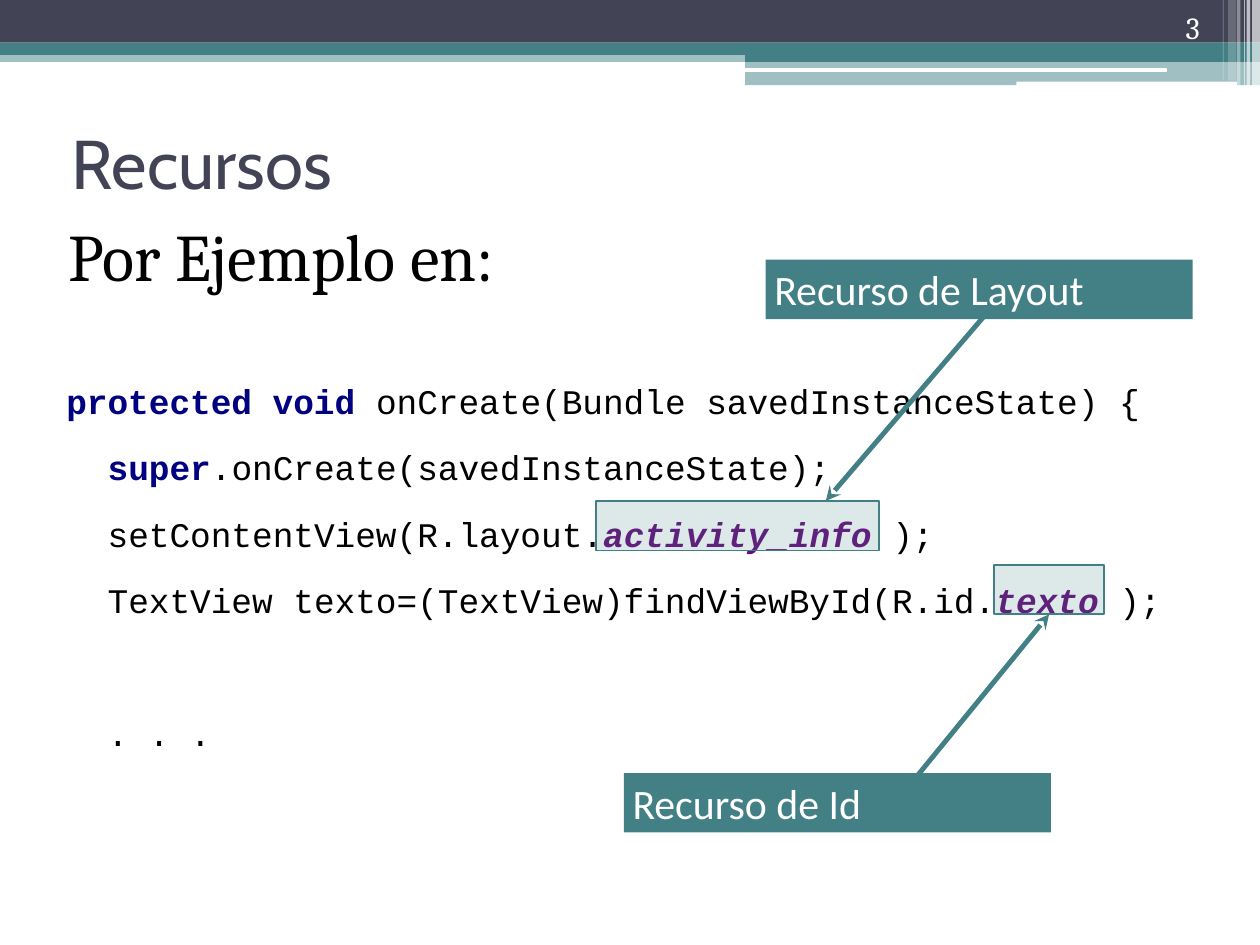
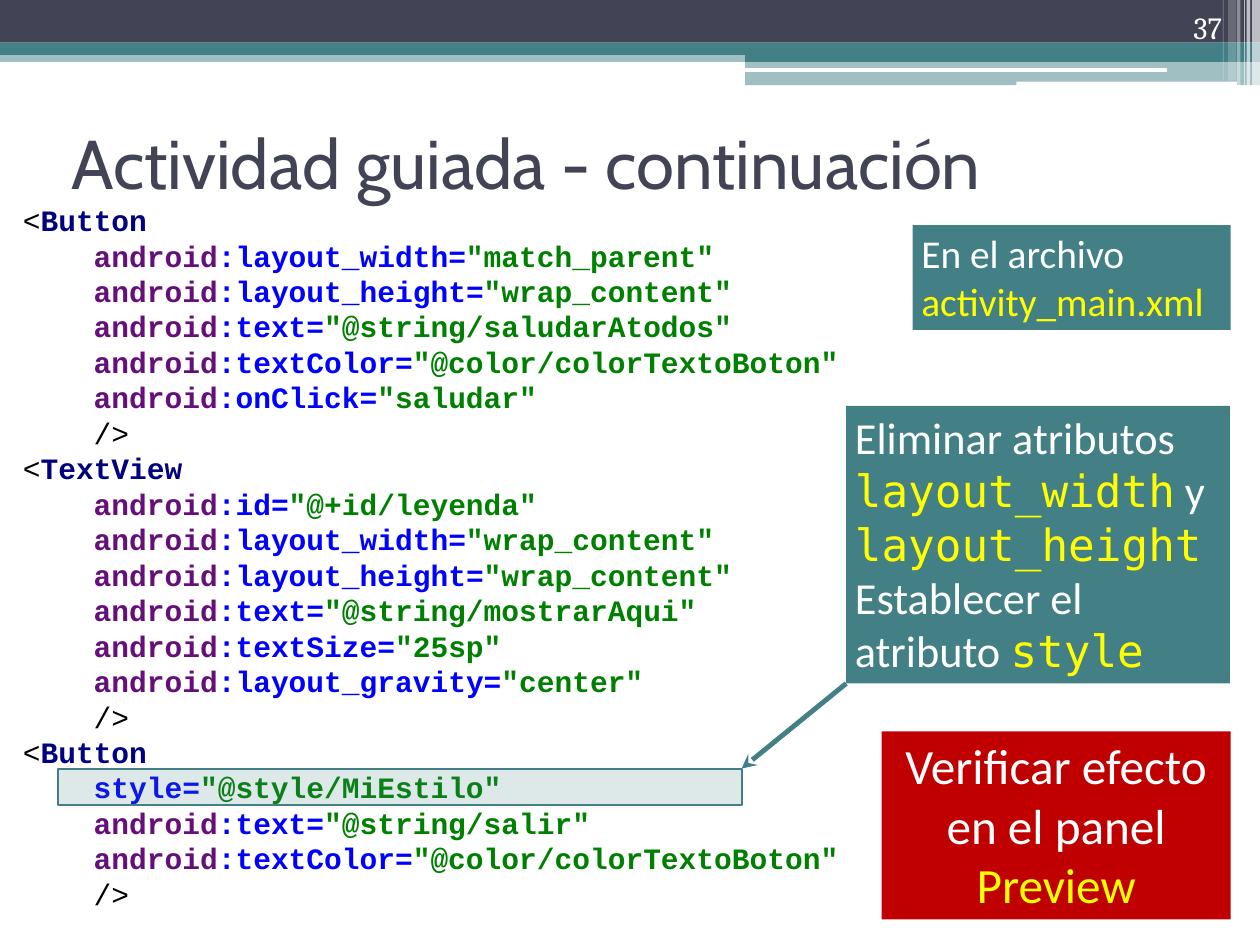
from dataclasses import dataclass

from lxml.etree import SubElement
from pptx import Presentation
from pptx.dml.color import RGBColor
from pptx.enum.shapes import MSO_CONNECTOR as Connector, MSO_SHAPE as Preset
from pptx.enum.text import MSO_ANCHOR as Anchor, PP_ALIGN as Align
from pptx.oxml.ns import qn
from pptx.util import Inches, Pt

# The grid has one column and one row to the inch.
COLUMNS, ROWS = 14.22, 10.66

INK, TEAL, WHITE, BLACK = "424456", "438086", "FFFFFF", "000000"
YELLOW, RED = "FFFF00", "C00000"
TITLE_FONT, BODY_FONT, CALLOUT_FONT = "Cabin", "Cambria", "Calibri"
CODE_FONT, NAME_FONT = "Courier New", "DejaVu Sans Mono"
CHAR_WIDTH = 0.6  # width of a code character, as a share of its size

# colour, bold, italic
CODE_STYLES = {
    "plain": (BLACK, False, False),
    "keyword": ("000080", True, False),
    "prefix": ("660E7A", True, False),
    "resource": ("660E7A", True, True),
    "attribute": ("0000FF", True, False),
    "value": ("008000", True, False),
}

# left, top, width, height, colour, opacity in percent
HEADER_BANDS = [
    (0, 0.57, COLUMNS, 0.13, TEAL, 50),
    (0, 0, COLUMNS, 0.48, INK, 100),
    (0, 0.48, COLUMNS, 0.14, TEAL, 100),
    (8.41, 0.56, 5.81, 0.14, TEAL, 100),
    (8.41, 0.68, 5.81, 0.28, TEAL, 50),
]
HEADER_RULES = [(8.41, 0.77, 4.76, 0.04), (11.47, 0.92, 2.49, 0.06)]
# left, width, height, opacity in percent
CORNER_STRIPES = [
    (14.13, 0.09, 0.97, 65),
    (14.07, 0.04, 0.97, 65),
    (14.04, 0.01, 0.97, 60),
    (13.96, 0.04, 0.97, 40),
    (13.86, 0.09, 0.91, 20),
    (13.8, 0.01, 0.91, 30),
]

METHOD_LINES = [
    (0, [("protected void ", "keyword"),
         ("onCreate(Bundle savedInstanceState) {", "plain")]),
    (2, [("super", "keyword"), (".onCreate(savedInstanceState);", "plain")]),
    (2, [("setContentView(R.layout.", "plain"),
         ("activity_info ", "resource"), (");", "plain")]),
    (2, [("TextView texto=(TextView)findViewById(R.id.", "plain"),
         ("texto ", "resource"), (");", "plain")]),
    (2, [(". . .", "plain")]),
]

LAYOUT_TAGS = [
    ("Button", [
        ("android:layout_width", "match_parent"),
        ("android:layout_height", "wrap_content"),
        ("android:text", "@string/saludarAtodos"),
        ("android:textColor", "@color/colorTextoBoton"),
        ("android:onClick", "saludar"),
    ]),
    ("TextView", [
        ("android:id", "@+id/leyenda"),
        ("android:layout_width", "wrap_content"),
        ("android:layout_height", "wrap_content"),
        ("android:text", "@string/mostrarAqui"),
        ("android:textSize", "25sp"),
        ("android:layout_gravity", "center"),
    ]),
    ("Button", [
        ("style", "@style/MiEstilo"),
        ("android:text", "@string/salir"),
        ("android:textColor", "@color/colorTextoBoton"),
    ]),
]


@dataclass
class Box:
    left: float
    top: float
    width: float
    height: float

    def area(self, column, row, columns, rows):
        return Box(self.left + column, self.top + row, columns, rows)

    def point(self, column, row):
        return Inches(self.left + column), Inches(self.top + row)

    def emu(self):
        return [Inches(n) for n in (self.left, self.top, self.width, self.height)]


PAGE = Box(0, 0, COLUMNS, ROWS)


def rgb(hex_colour):
    return RGBColor.from_string(hex_colour)


def add_panel(slide, box, colour, opacity=100, outline=None, preset=Preset.RECTANGLE):
    panel = slide.shapes.add_shape(preset, *box.emu())
    panel.shadow.inherit = False
    panel.fill.solid()
    panel.fill.fore_color.rgb = rgb(colour)
    if opacity < 100:
        tint = panel.element.spPr.find(qn("a:solidFill")).find(qn("a:srgbClr"))
        SubElement(tint, qn("a:alpha")).set("val", str(opacity * 1000))
    if outline:
        panel.line.color.rgb = rgb(outline)
        panel.line.width = Pt(1.5)
    else:
        panel.line.fill.background()
    return panel


def style_run(run, font, size, colour, bold=False, italic=False):
    run.font.name = font
    run.font.size = Pt(size)
    run.font.color.rgb = rgb(colour)
    run.font.bold = bold
    run.font.italic = italic


def add_label(slide, box, text, font, size, colour, anchor=Anchor.TOP,
              align=Align.LEFT):
    frame = slide.shapes.add_textbox(*box.emu()).text_frame
    frame.word_wrap = True
    frame.vertical_anchor = anchor
    frame.text = text
    frame.paragraphs[0].alignment = align
    style_run(frame.paragraphs[0].runs[0], font, size, colour)
    return frame


def add_callout(slide, box, paragraphs, size, fill=TEAL, align=Align.LEFT):
    """Filled box; each paragraph is a list of (text, font, colour)."""
    frame = add_panel(slide, box, fill).text_frame
    frame.word_wrap = True
    frame.vertical_anchor = Anchor.TOP
    for index, pieces in enumerate(paragraphs):
        paragraph = frame.add_paragraph() if index else frame.paragraphs[0]
        paragraph.alignment = align
        for text, font, colour in pieces:
            run = paragraph.add_run()
            run.text = text
            style_run(run, font, size, colour)


def add_highlight(slide, box):
    return add_panel(slide, box, TEAL, 18, outline=TEAL)


def add_arrow(slide, start, end):
    arrow = slide.shapes.add_connector(Connector.STRAIGHT, *start, *end)
    arrow.line.color.rgb = rgb(TEAL)
    arrow.line.width = Pt(4)
    properties = arrow.element.spPr
    SubElement(properties.find(qn("a:ln")), qn("a:tailEnd")).set("type", "stealth")
    SubElement(properties, qn("a:effectLst"))
    return arrow


def add_code(slide, box, lines, size, pitch):
    """Code listing; each line is (indent in characters, [(text, style)])."""
    frame = slide.shapes.add_textbox(*box.emu()).text_frame
    frame.word_wrap = True
    for index, (indent, pieces) in enumerate(lines):
        paragraph = frame.add_paragraph() if index else frame.paragraphs[0]
        paragraph.line_spacing = Pt(pitch)
        margin = Pt(indent * size * CHAR_WIDTH)
        paragraph._p.get_or_add_pPr().set("marL", str(margin))
        for text, style in pieces:
            run = paragraph.add_run()
            run.text = text
            style_run(run, CODE_FONT, size, *CODE_STYLES[style])
    return frame


def markup_lines(tags):
    lines = []
    for tag, attributes in tags:
        lines.append((0, [("<", "plain"), (tag, "keyword")]))
        for name, value in attributes:
            prefix, colon, local = name.rpartition(":")
            pieces = [(prefix, "prefix")] if prefix else []
            pieces += [(f"{colon}{local}=", "attribute"), (f'"{value}"', "value")]
            lines.append((4, pieces))
        lines.append((4, [("/>", "plain")]))
    return lines


def add_header(slide, box):
    for left, top, width, height, colour, opacity in HEADER_BANDS:
        add_panel(slide, box.area(left, top, width, height), colour, opacity)
    for rule in HEADER_RULES:
        add_panel(slide, box.area(*rule), WHITE, preset=Preset.ROUNDED_RECTANGLE)
    for left, width, height, opacity in CORNER_STRIPES:
        add_panel(slide, box.area(left, 0, width, height), WHITE, opacity)


def add_base_slide(deck, box, title, number, number_right):
    slide = deck.slides.add_slide(deck.slide_layouts[6])
    add_header(slide, box)
    add_label(slide, box.area(0.71, 1, 12.8, 1.66), title, TITLE_FONT, 56, INK,
              Anchor.MIDDLE)
    add_label(slide, box.area(number_right - 1.18, 0, 1.18, 0.57), number,
              BODY_FONT, 25, WHITE, Anchor.BOTTOM, Align.RIGHT)
    return slide


def add_resources_slide(deck, box):
    slide = add_base_slide(deck, box, "Recursos", "3", 13.64)
    intro = add_label(slide, box.area(0.67, 2.58, 12.63, 1.18), "Por Ejemplo en:",
                      BODY_FONT, 54, BLACK)
    intro.paragraphs[0].line_spacing = Pt(50)
    intro.paragraphs[0].space_before = Pt(4.2)

    code = box.area(0.65, 3.95, 13.39, 6.13)
    listing = add_code(slide, code, METHOD_LINES, 28, 54)
    listing.paragraphs[-1].space_before = Pt(54)

    add_arrow(slide, box.point(11.37, 3.26), box.point(9.32, 5.65))
    add_highlight(slide, code.area(6.08, 1.7, 3.19, 0.56))
    add_callout(slide, box.area(8.64, 2.93, 4.82, 0.67),
                [[("Recurso de Layout", CALLOUT_FONT, WHITE)]], 34)

    id_highlight = add_highlight(slide, code.area(10.57, 2.42, 1.24, 0.56))
    id_arrow = add_arrow(slide, box.point(10.1, 9.06), box.point(11.84, 6.93))
    id_arrow.end_connect(id_highlight, 2)
    add_callout(slide, box.area(7.04, 8.72, 4.82, 0.67),
                [[("Recurso de Id", CALLOUT_FONT, WHITE)]], 34)


def add_activity_slide(deck, box):
    slide = add_base_slide(deck, box, "Actividad guiada - continuación", "37", 13.89)
    code = box.area(0.16, 2.23, 13.96, 8.14)
    add_code(slide, code, markup_lines(LAYOUT_TAGS), 24, 28.8)

    add_callout(slide, box.area(9.55, 4.58, 4.33, 3.13), [
        [("Eliminar atributos ", CALLOUT_FONT, WHITE),
         ("layout_width", NAME_FONT, YELLOW),
         (" y ", CALLOUT_FONT, WHITE),
         ("layout_height", NAME_FONT, YELLOW)],
        [("Establecer el atributo ", CALLOUT_FONT, WHITE),
         ("style", NAME_FONT, YELLOW)],
    ], 36)
    add_highlight(slide, code.area(0.49, 6.44, 7.72, 0.41))
    add_arrow(slide, box.point(9.55, 7.71), box.point(8.37, 8.67))

    add_callout(slide, box.area(10.3, 2.54, 3.59, 1.18),
                [[("En el archivo ", CALLOUT_FONT, WHITE),
                  ("activity_main.xml", CALLOUT_FONT, YELLOW)]], 32)
    add_callout(slide, box.area(9.95, 8.25, 3.94, 2.12),
                [[("Verificar efecto en el panel ", CALLOUT_FONT, WHITE),
                  ("Preview", CALLOUT_FONT, YELLOW)]], 40, RED, Align.CENTER)


def main():
    deck = Presentation()
    deck.slide_width, deck.slide_height = Inches(COLUMNS), Inches(ROWS)
    add_resources_slide(deck, PAGE)
    add_activity_slide(deck, PAGE)
    deck.save("out.pptx")


if __name__ == "__main__":
    main()
